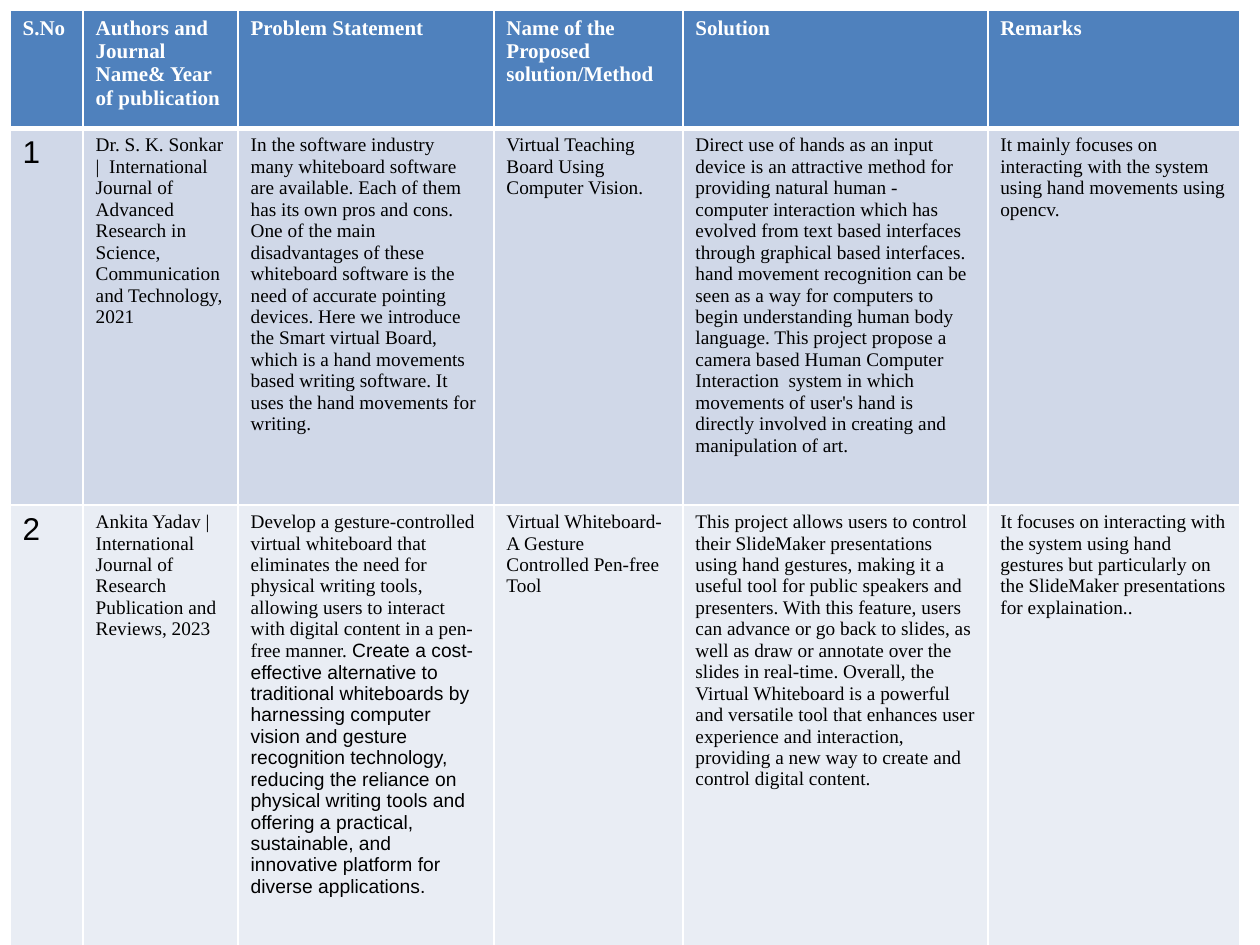
from dataclasses import dataclass

from lxml.etree import SubElement
from pptx import Presentation
from pptx.dml.color import RGBColor
from pptx.oxml.ns import qn
from pptx.util import Inches, Pt


@dataclass(frozen=True)
class Theme:
    header_fill: str = "4F81BD"
    row_fills: tuple = ("D0D8E8", "E9EDF4")
    border: str = "FFFFFF"
    header_text: str = "FFFFFF"
    body_text: str = "000000"
    serif: str = "Times New Roman"
    sans: str = "Arial"
    header_size: int = 12
    number_size: int = 18
    body_size: int = 11


theme = Theme()

COLUMN_WIDTHS = (0.58, 1.23, 2.03, 1.5, 2.42, 2)
ROW_HEIGHTS = (0.94, 2.99, 3.57)

HEADERS = (
    "S.No",
    "Authors and Journal Name& Year of publication",
    "Problem Statement",
    "Name of the Proposed solution/Method",
    "Solution",
    "Remarks",
)
PAPERS = (
    (
        "1",
        "Dr. S. K. Sonkar |  International Journal of Advanced Research in Science, "
        "Communication and Technology, 2021",
        "In the software industry many whiteboard software are available. Each of them "
        "has its own pros and cons. One of the main disadvantages of these whiteboard "
        "software is the need of accurate pointing devices. Here we introduce the Smart "
        "virtual Board, which is a hand movements based writing software. It uses the "
        "hand movements for writing.",
        "Virtual Teaching Board Using Computer Vision.",
        "Direct use of hands as an input device is an attractive method for providing "
        "natural human - computer interaction which has evolved from text based "
        "interfaces through graphical based interfaces. hand movement recognition can "
        "be seen as a way for computers to begin understanding human body language. "
        "This project propose a camera based Human Computer Interaction  system in "
        "which movements of user's hand is directly involved in creating and "
        "manipulation of art.",
        "It mainly focuses on interacting with the system using hand movements using "
        "opencv.",
    ),
    (
        "2",
        "Ankita Yadav |\n"
        "International Journal of Research Publication and Reviews, 2023",
        "Develop a gesture-controlled virtual whiteboard that eliminates the need for "
        "physical writing tools, allowing users to interact with digital content in a "
        "pen-free manner. ",
        "Virtual Whiteboard-A Gesture Controlled Pen-free Tool",
        "This project allows users to control their SlideMaker presentations using hand "
        "gestures, making it a useful tool for public speakers and presenters. With "
        "this feature, users can advance or go back to slides, as well as draw or "
        "annotate over the slides in real-time. Overall, the Virtual Whiteboard is a "
        "powerful and versatile tool that enhances user experience and interaction, "
        "providing a new way to create and control digital content.",
        "It focuses on interacting with the system using hand gestures but particularly "
        "on the SlideMaker presentations for explaination..",
    ),
)
PROBLEM_ADDITION = (
    "Create a cost-effective alternative to traditional whiteboards by harnessing "
    "computer vision and gesture recognition technology, reducing the reliance on "
    "physical writing tools and offering a practical, sustainable, and innovative "
    "platform for diverse applications."
)


def format_text(cell, font_name, size, color, bold=False):
    for paragraph in cell.text_frame.paragraphs:
        for run in paragraph.runs:
            run.font.name = font_name
            run.font.size = Pt(size)
            run.font.bold = bold
            run.font.color.rgb = RGBColor.from_string(color)


def paint_cell(cell, fill, top_width, bottom_width):
    """Set the borders, then the fill, in the order the schema asks for."""
    properties = cell._tc.get_or_add_tcPr()
    widths = {"a:lnL": 1, "a:lnR": 1, "a:lnT": top_width, "a:lnB": bottom_width}
    for side, width in widths.items():
        line = SubElement(properties, qn(side), w=str(Pt(width)))
        SubElement(SubElement(line, qn("a:solidFill")), qn("a:srgbClr"), val=theme.border)
    cell.fill.solid()
    cell.fill.fore_color.rgb = RGBColor.from_string(fill)


presentation = Presentation()
presentation.slide_width = Inches(10)
presentation.slide_height = Inches(7.5)
slide = presentation.slides.add_slide(presentation.slide_layouts[6])

table = slide.shapes.add_table(
    len(ROW_HEIGHTS), len(COLUMN_WIDTHS),
    Inches(0.08), Inches(0.08), Inches(sum(COLUMN_WIDTHS)), Inches(sum(ROW_HEIGHTS)),
).table
for column, width in zip(table.columns, COLUMN_WIDTHS):
    column.width = Inches(width)
for row, height in zip(table.rows, ROW_HEIGHTS):
    row.height = Inches(height)

for cell, header in zip(table.rows[0].cells, HEADERS):
    cell.text_frame.text = header
    format_text(cell, theme.serif, theme.header_size, theme.header_text, bold=True)
    paint_cell(cell, theme.header_fill, 1, 3)

for row_index, (paper, fill) in enumerate(zip(PAPERS, theme.row_fills), start=1):
    for column_index, text in enumerate(paper):
        cell = table.cell(row_index, column_index)
        cell.text_frame.text = text
        if column_index == 0:
            format_text(cell, theme.sans, theme.number_size, theme.body_text)
        else:
            format_text(cell, theme.serif, theme.body_size, theme.body_text)
        paint_cell(cell, fill, 3 if row_index == 1 else 1, 1)

problem_cell = table.cell(2, 2)
addition = problem_cell.text_frame.paragraphs[0].add_run()
addition.text = PROBLEM_ADDITION
addition.font.name = theme.sans
addition.font.size = Pt(theme.body_size)
addition.font.color.rgb = RGBColor.from_string(theme.body_text)

presentation.save("out.pptx")
